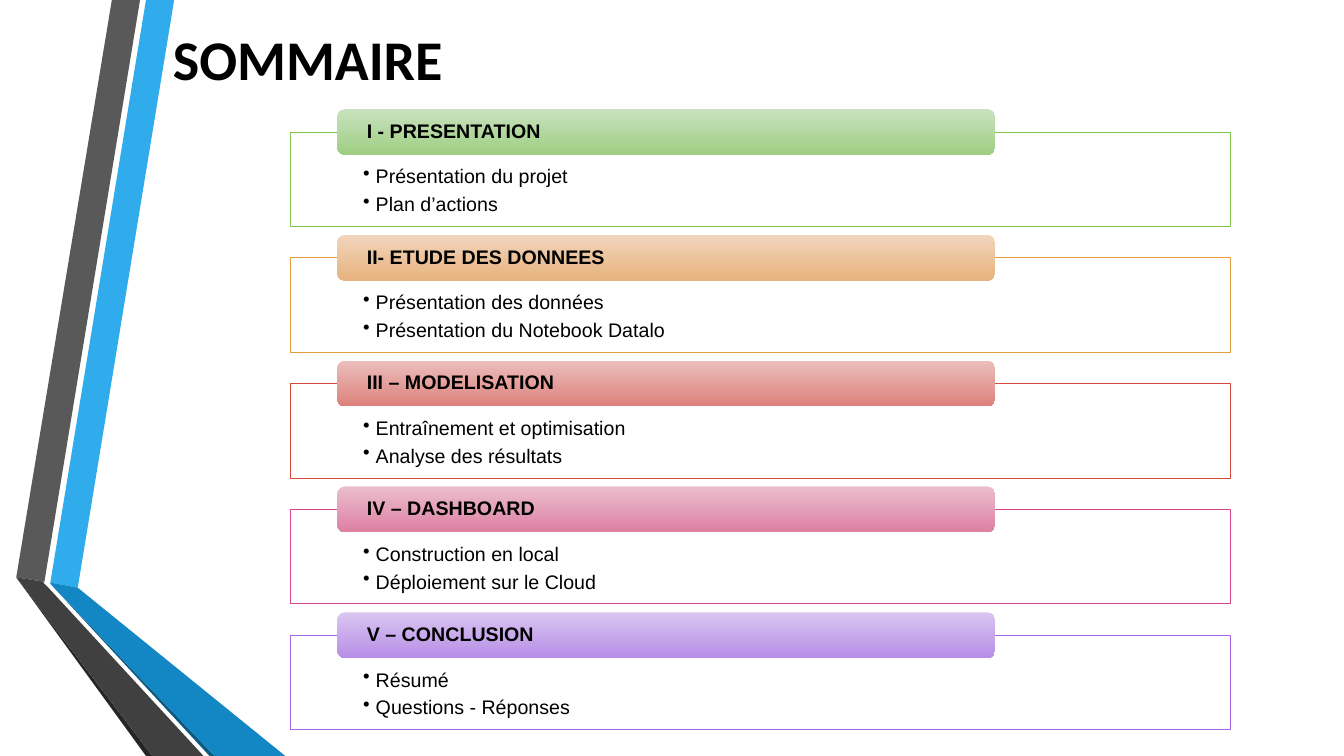
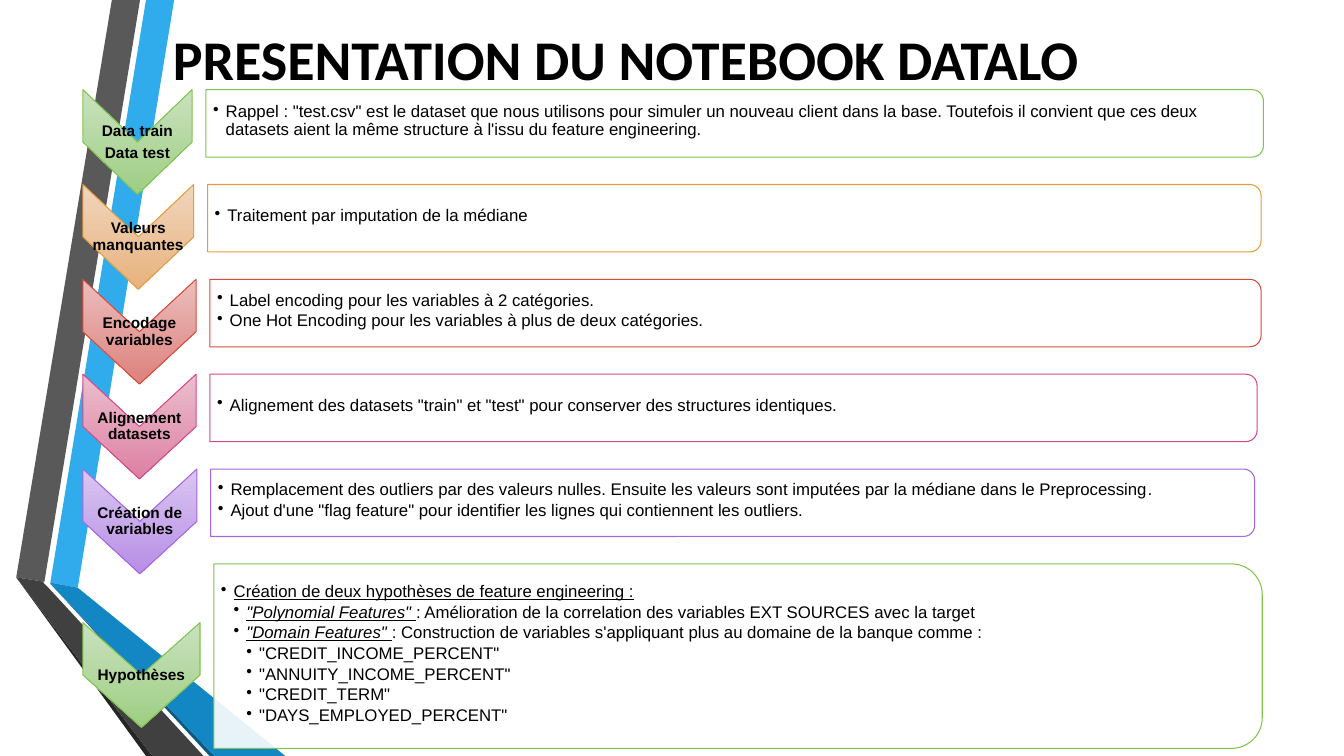
from lxml import etree
from pptx import Presentation
from pptx.dml.color import RGBColor
from pptx.enum.shapes import MSO_SHAPE
from pptx.enum.text import MSO_ANCHOR, PP_ALIGN
from pptx.oxml.ns import qn
from pptx.util import Cm, Pt

RECTANGLE = MSO_SHAPE.RECTANGLE
ROUNDED = MSO_SHAPE.ROUNDED_RECTANGLE
CHEVRON = MSO_SHAPE.CHEVRON
TWO_ROUNDED = MSO_SHAPE.ROUND_2_SAME_RECTANGLE
TOP, MIDDLE = MSO_ANCHOR.TOP, MSO_ANCHOR.MIDDLE
LEFT, CENTER = PP_ALIGN.LEFT, PP_ALIGN.CENTER

TITLE_FONT, BODY_FONT = "Calibri", "Arial"
BLACK, WHITE = "000000", "FFFFFF"
BULLET_STEP = 0.32

# Each theme: line colour, gradient start, gradient end
GREEN = ("80C34F", "C9E2BE", "9ECE83")
ORANGE = ("E29D3E", "F1D5BD", "E7B27D")
RED = ("D64A3B", "EBBEBC", "DD817C")
PINK = ("D64787", "EBBECD", "DD80A2")
PURPLE = ("A666E1", "D9C6F1", "B88EE6")

# Folded ribbons at the left edge: colour and outline in cm
RIBBONS = [
    ("30ACEC", [(1.27, 14.68), (1.96, 14.81), (4.39, 0), (3.68, 0)]),
    ("595959", [(3.53, 0), (2.82, 0), (0.41, 14.55), (1.12, 14.66)]),
    ("262626", [(0.41, 14.55), (3.68, 19.05), (3.84, 19.05)]),
    ("0C5A82", [(1.27, 14.71), (5.28, 19.05), (5.41, 19.05)]),
    ("1287C3", [(1.27, 14.71), (5.41, 19.05), (7.19, 19.05),
                (1.96, 14.81), (1.27, 14.68)]),
    ("404040", [(5.13, 19.05), (1.22, 14.81), (1.09, 14.68),
                (1.12, 14.66), (0.41, 14.55), (3.84, 19.05)]),
]

# Agenda: theme, heading, items
AGENDA = [
    (GREEN, "I - PRESENTATION", ["Présentation du projet", "Plan d’actions"]),
    (ORANGE, "II- ETUDE DES DONNEES",
     ["Présentation des données", "Présentation du Notebook Datalo"]),
    (RED, "III – MODELISATION",
     ["Entraînement et optimisation", "Analyse des résultats"]),
    (PINK, "IV – DASHBOARD",
     ["Construction en local", "Déploiement sur le Cloud"]),
    (PURPLE, "V – CONCLUSION", ["Résumé", "Questions - Réponses"]),
]

# Steps: theme, chevron width, panel width, labels, paragraphs.
# A paragraph is a level and its runs; a run is a text and its style letters.
STEPS = [
    (GREEN, 2.75, 26.65, ["Data train", "Data test"], [
        (1, [("Rappel : \"test.csv\" est le dataset que nous utilisons pour "
              "simuler un nouveau client dans la base. Toutefois il convient "
              "que ces deux datasets aient la même structure à l'issu du "
              "feature engineering.", "")])]),
    (ORANGE, 2.79, 26.55, ["Valeurs manquantes"], [
        (1, [("Traitement par imputation de la médiane", "")])]),
    (RED, 2.85, 26.49, ["Encodage variables"], [
        (1, [("Label encoding pour les variables à 2 catégories.", "")]),
        (1, [("One Hot Encoding pour les variables à plus de deux "
              "catégories.", "")])]),
    (PINK, 2.85, 26.39, ["Alignement datasets"], [
        (1, [("Alignement des datasets \"train\" et \"test\" pour conserver "
              "des structures identiques.", "")])]),
    (PURPLE, 2.87, 26.31, ["Création de variables"], [
        (1, [("Remplacement des outliers par des valeurs nulles. Ensuite les "
              "valeurs sont imputées par la médiane dans le Preprocessing",
              ""), (".", "i")]),
        (1, [("Ajout d'une \"flag feature\" pour identifier les lignes qui "
              "contiennent les outliers.", "")])]),
    (GREEN, 2.95, 26.42, ["Hypothèses"], [
        (1, [("Création de deux hypothèses de feature engineering :", "u")]),
        (2, [("\"Polynomial Features\" ", "iu"),
             (": Amélioration de la correlation des variables EXT SOURCES "
              "avec la target", "")]),
        (2, [("\"Domain Features\" ", "iu"),
             (": Construction de variables s'appliquant plus au domaine de "
              "la banque comme :", "")]),
        (3, [("\"CREDIT_INCOME_PERCENT\"", "")]),
        (3, [("\"ANNUITY_INCOME_PERCENT\"", "")]),
        (3, [("\"CREDIT_TERM\"", "")]),
        (3, [("\"DAYS_EMPLOYED_PERCENT\"", "")])]),
]


def rgb(color):
    return RGBColor.from_string(color)


# Text
def set_frame(shape, margins, anchor):
    frame = shape.text_frame
    frame.word_wrap = True
    frame.vertical_anchor = anchor
    (frame.margin_left, frame.margin_top,
     frame.margin_right, frame.margin_bottom) = [Cm(m) for m in margins]
    return frame


def add_text_box(page, left, top, width, height, margins):
    box = page.shapes.add_textbox(Cm(left), Cm(top), Cm(width), Cm(height))
    return set_frame(box, margins, MIDDLE)


def add_bullet(para, level):
    props = para._p.get_or_add_pPr()
    props.set("marL", str(Cm(BULLET_STEP * level)))
    props.set("indent", str(-Cm(BULLET_STEP)))
    etree.SubElement(props, qn("a:buChar")).set("char", "•")


def write(frame, paragraphs, size, style="", font=BODY_FONT, align=LEFT,
          spacing=1.0, after=0):
    """Fill a frame with (level, runs); levels above 0 get a bullet."""
    for index, (level, runs) in enumerate(paragraphs):
        para = frame.add_paragraph() if index else frame.paragraphs[0]
        para.alignment = align
        para.line_spacing = spacing
        para.space_after = Pt(after)
        if level:
            add_bullet(para, level)
        for text, run_style in runs:
            span = para.add_run()
            span.text = text
            span.font.name = font
            span.font.size = Pt(size)
            span.font.color.rgb = rgb(BLACK)
            span.font.bold = "b" in style
            span.font.italic = "i" in run_style
            span.font.underline = "u" in run_style


def plain(texts, level=0):
    return [(level, [(text, "")]) for text in texts]


# Shapes
def add_shape(page, kind, left, top, width, height, line=None):
    shape = page.shapes.add_shape(kind, Cm(left), Cm(top),
                                  Cm(width), Cm(height))
    shape.shadow.inherit = False
    if line:
        shape.line.color.rgb = rgb(line)
        shape.line.width = Pt(0.75)
    else:
        shape.line.fill.background()
    return shape


def add_turned(page, kind, left, top, width, height, line):
    """Place a shape turned by 90 degrees so that it covers the given area."""
    shift = (width - height) / 2
    shape = add_shape(page, kind, left + shift, top - shift,
                      height, width, line)
    shape.rotation = 90
    return shape


def fill_veil(shape):
    """White at 90 % opacity."""
    shape.fill.solid()
    shape.fill.fore_color.rgb = rgb(WHITE)
    color = shape.element.spPr.find(qn("a:solidFill")).find(qn("a:srgbClr"))
    etree.SubElement(color, qn("a:alpha")).set("val", "90000")


def fill_gradient(shape, colors):
    """Top to bottom on the page, whatever the turn of the shape."""
    shape.fill.gradient()
    shape.fill.gradient_angle = 270
    for stop, color in zip(shape.fill.gradient_stops, colors):
        stop.color.rgb = rgb(color)
    shape.element.spPr.find(qn("a:gradFill")).set("rotWithShape", "0")


# Shared parts
def add_ribbons(deck, page):
    """Draw the ribbons, then move them to the master for every slide."""
    tree = deck.slide_master.shapes.element
    for index, (color, outline) in enumerate(RIBBONS):
        points = [(Cm(x), Cm(y)) for x, y in outline]
        builder = page.shapes.build_freeform(*points[0])
        builder.add_line_segments(points[1:], close=True)
        ribbon = builder.convert_to_shape()
        ribbon.shadow.inherit = False
        ribbon.fill.solid()
        ribbon.fill.fore_color.rgb = rgb(color)
        ribbon.line.fill.background()
        ribbon.element.nvSpPr.cNvPr.set("id", str(101 + index))
        tree.insert(2 + index, ribbon.element)


def add_title(page, text):
    frame = add_text_box(page, 4.11, 0, 27.84, 2.95, (0.25, 0.13, 0.25, 0.13))
    write(frame, plain([text]), 40, "b", TITLE_FONT)


# Slide content
def add_agenda(page):
    for index, (theme, heading, items) in enumerate(AGENDA):
        top = 2.75 + 3.17 * index
        panel = add_shape(page, RECTANGLE, 7.32, top + 0.58, 23.7, 2.38,
                          theme[0])
        fill_veil(panel)
        write(set_frame(panel, (1.83, 0.81, 1.83, 0.28), TOP),
              plain(items, 1), 14, after=3)
        tab = add_shape(page, ROUNDED, 8.5, top, 16.58, 1.15)
        fill_gradient(tab, theme[1:])
        write(set_frame(tab, (0.69, 0, 0.69, 0), MIDDLE),
              plain([heading]), 14, "b", spacing=0.9)


def add_steps(page):
    left, gap, chevron_height = 2.09, 0.35, 2.64
    last = len(STEPS) - 1
    for index, step in enumerate(STEPS):
        theme, chevron_width, panel_width, labels, paragraphs = step
        top = 2.26 + 2.39 * index
        panel_height = 4.65 if index == last else 1.7
        chevron_top = top + 1.48 if index == last else top

        chevron_area = (left, chevron_top, chevron_width, chevron_height)
        chevron = add_turned(page, CHEVRON, *chevron_area, theme[0])
        fill_gradient(chevron, theme[1:])
        frame = add_text_box(page, *chevron_area, (0.03, 0.03, 0.03, 0.03))
        write(frame, plain(labels), 11, "b", align=CENTER,
              spacing=0.9, after=3.9)

        panel_area = (left + chevron_width + gap, top,
                      panel_width, panel_height)
        panel = add_turned(page, TWO_ROUNDED, *panel_area, theme[0])
        fill_veil(panel)
        frame = add_text_box(page, *panel_area, (0.18, 0, 0.18, 0.1))
        write(frame, paragraphs, 12, spacing=0.9, after=1.8)


def main():
    deck = Presentation()
    deck.slide_width, deck.slide_height = Cm(33.87), Cm(19.05)
    blank = deck.slide_layouts[6]

    agenda = deck.slides.add_slide(blank)
    add_ribbons(deck, agenda)
    add_agenda(agenda)
    add_title(agenda, "SOMMAIRE")

    notebook = deck.slides.add_slide(blank)
    add_title(notebook, "PRESENTATION DU NOTEBOOK DATALO")
    add_steps(notebook)

    deck.save("out.pptx")


if __name__ == "__main__":
    main()
